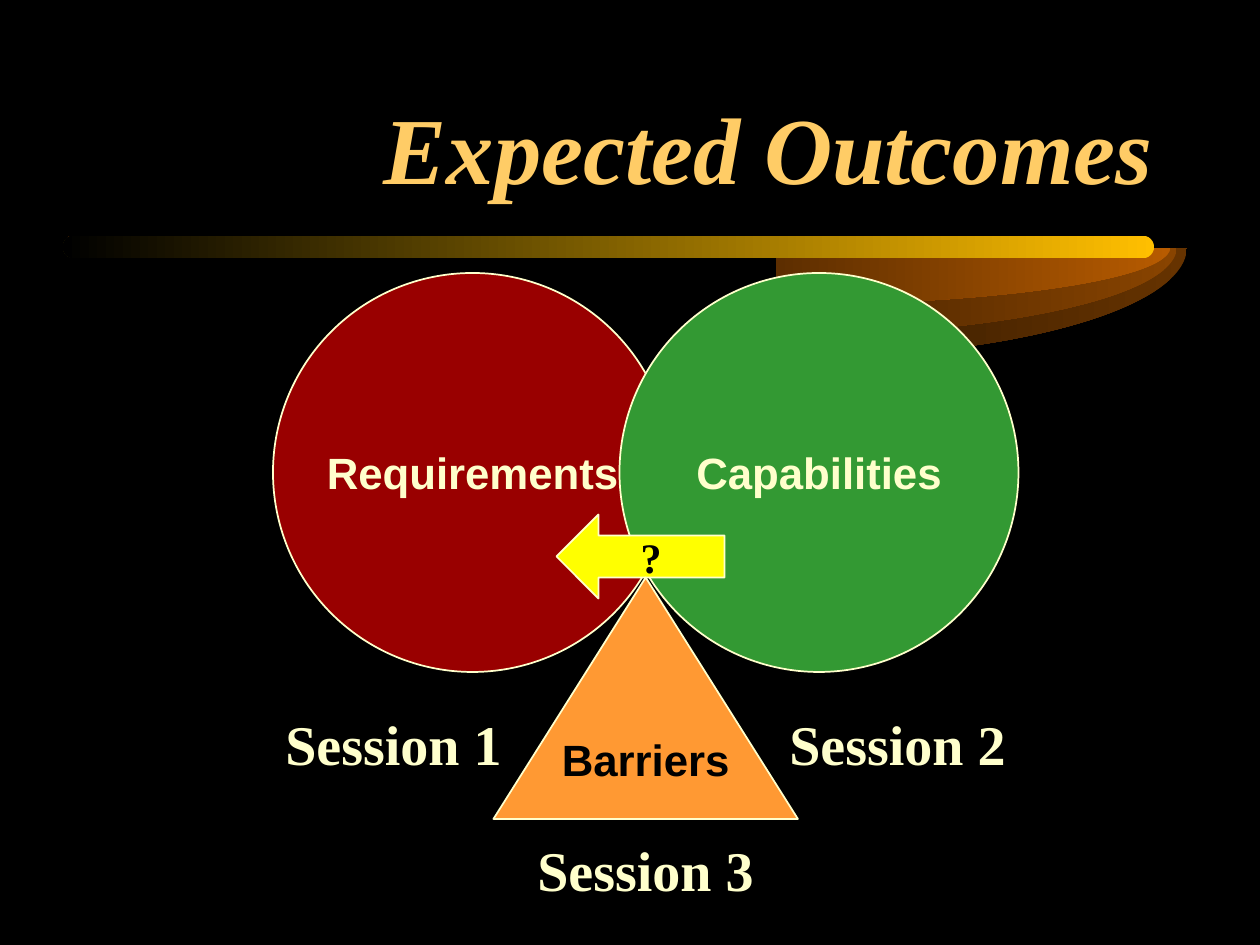
from pptx import Presentation
from pptx.dml.color import RGBColor
from pptx.enum.shapes import MSO_SHAPE as Preset
from pptx.enum.text import MSO_ANCHOR as Anchor, PP_ALIGN as Align
from pptx.util import Inches, Pt

COLORS = {
    "black": "000000", "cream": "FFFFCC", "title": "FFCC66", "gold": "FFBF00",
    "red": "990000", "green": "339933", "orange": "FF9933", "yellow": "FFFF00",
    "outer": "663300", "middle": "894400", "inner": "B75B00",
}
CELL = Inches(1) // 12  # the slide is a grid of 120 columns by 90 rows


def style_text(shape, words, font, size, color, align, anchor):
    frame = shape.text_frame
    frame.text = words
    frame.word_wrap = False
    frame.vertical_anchor = anchor
    line = frame.paragraphs[0]
    line.alignment = align
    line.font.name, line.font.size, line.font.bold = font, Pt(size), True
    line.font.color.rgb = RGBColor.from_string(COLORS[color])


prs = Presentation()
prs.slide_width, prs.slide_height = 120 * CELL, 90 * CELL
slide = prs.slides.add_slide(prs.slide_layouts[5])
shapes = slide.shapes
slide.background.fill.solid()
slide.background.fill.fore_color.rgb = RGBColor.from_string(COLORS["black"])

# Comet: three half ellipses around one axis, and the tail
for preset, cells, adjustments, color in [
    (Preset.ARC, (37.92, 13.08, 75.12, 21), (-54, 54), "outer"),
    (Preset.ARC, (36.96, 15.24, 75.12, 16.68), (-54, 54), "middle"),
    (Preset.ARC, (36.36, 18.12, 75.12, 10.92), (-54, 54), "inner"),
    (Preset.ROUNDED_RECTANGLE, (6, 22.44, 103.92, 2.16), (0.5,), "gold"),
]:
    streak = shapes.add_shape(preset, *(int(n * CELL) for n in cells))
    for i, amount in enumerate(adjustments):
        streak.adjustments[i] = amount
    streak.shadow.inherit = False
    streak.line.fill.background()
    streak.fill.gradient()
    streak.fill.gradient_angle = 180
    for stop, shade, position in zip(streak.fill.gradient_stops, (color, "black"), (0, 1)):
        stop.color.rgb = RGBColor.from_string(COLORS[shade])
        stop.position = position

# The title stands in front of the comet
title = shapes.title
shapes._spTree.append(title._element)
title.left, title.top, title.width, title.height = 9 * CELL, 5 * CELL, 102 * CELL, 15 * CELL
style_text(title, "Expected Outcomes", "Times New Roman", 54, "title", Align.RIGHT, Anchor.BOTTOM)
title.text_frame.paragraphs[0].font.italic = True

# Column, row, columns wide, rows high
for preset, cells, fill, words, font, size, color in [
    (Preset.OVAL, (26, 26, 38, 38), "red", "Requirements", "Arial", 25, "cream"),
    (Preset.OVAL, (59, 26, 38, 38), "green", "Capabilities", "Arial", 25, "cream"),
    (Preset.LEFT_ARROW, (53, 49, 16, 8), "yellow", "?", "Times New Roman", 24, "black"),
    (Preset.ISOSCELES_TRIANGLE, (47, 55, 29, 23), "orange", "Barriers", "Arial", 25, "black"),
]:
    topic = shapes.add_shape(preset, *(n * CELL for n in cells))
    topic.shadow.inherit = False
    topic.fill.solid()
    topic.fill.fore_color.rgb = RGBColor.from_string(COLORS[fill])
    topic.line.color.rgb = RGBColor.from_string(COLORS["cream"])
    topic.line.width = Pt(1)
    style_text(topic, words, font, size, color, Align.CENTER, Anchor.MIDDLE)

for number, (column, row) in enumerate([(26, 67), (74, 67), (50, 79)], start=1):
    session = shapes.add_textbox(column * CELL, row * CELL, 23 * CELL, int(7.7 * CELL))
    style_text(session, f"Session {number}", "Times New Roman", 32, "cream", Align.LEFT, Anchor.TOP)

prs.save("out.pptx")
